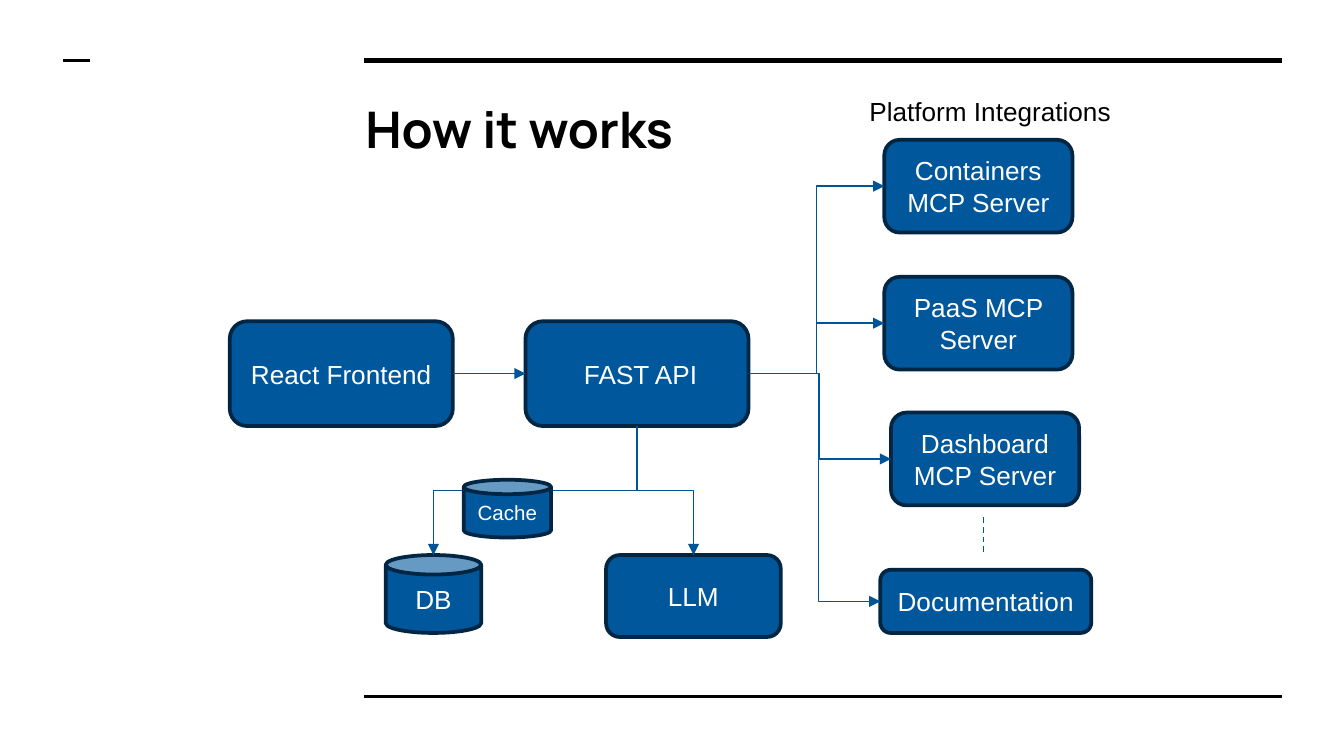
"""Build the "How it works" architecture slide."""
from lxml.etree import SubElement
from pptx import Presentation
from pptx.dml.color import RGBColor
from pptx.enum.dml import MSO_LINE
from pptx.enum.shapes import MSO_CONNECTOR, MSO_SHAPE
from pptx.enum.text import MSO_ANCHOR, PP_ALIGN
from pptx.oxml.ns import qn
from pptx.util import Inches, Pt

COLORS = {"box": "01579B", "border": "002644", "arrow": "005599", "black": "000000", "white": "FFFFFF"}
BOX, CAN = MSO_SHAPE.ROUNDED_RECTANGLE, MSO_SHAPE.CAN
TOP, LEFT, BOTTOM, RIGHT = range(4)
CAN_TOP = 1

RULES = [
    ((2.71, 0.45), (9.54, 0.45), 3),
    ((2.71, 5.18), (9.54, 5.18), 1.5),
    ((0.47, 0.45), (0.67, 0.45), 1.5),
]
NODES = {
    "frontend": ("React Frontend", BOX, (1.71, 2.39, 1.66, 0.78)),
    "api": (" FAST API", BOX, (3.91, 2.39, 1.66, 0.78)),
    "containers": ("Containers MCP Server", BOX, (6.58, 1.04, 1.4, 0.69)),
    "paas": ("PaaS MCP Server", BOX, (6.58, 2.06, 1.4, 0.69)),
    "dashboard": ("Dashboard MCP Server", BOX, (6.63, 3.07, 1.4, 0.69)),
    "documentation": ("Documentation", BOX, (6.55, 4.24, 1.57, 0.47)),
    "db": ("DB", CAN, (2.87, 4.13, 0.71, 0.58)),
    "llm": ("LLM", BOX, (4.51, 4.13, 1.3, 0.61)),
}
CACHE = ("Cache", CAN, (3.45, 3.57, 0.65, 0.43), 11)
SIDE_LINKS = [
    ("frontend", "api", 0.5),
    ("api", "containers", 0.5),
    ("api", "paas", 0.5),
    ("api", "dashboard", 0.5),
    ("api", "documentation", 0.53),
]
DOWN_LINKS = [("api", "db", CAN_TOP), ("api", "llm", TOP)]


def color(name):
    return RGBColor.from_string(COLORS[name])


def add_run(paragraph, text, size, color_name, font="Arial", bold=False):
    run = paragraph.add_run()
    run.text = text
    run.font.name, run.font.size, run.font.bold = font, Pt(size), bold
    run.font.color.rgb = color(color_name)


def add_node(slide, text, preset, place, size=14):
    shape = slide.shapes.add_shape(preset, *map(Inches, place))
    shape.shadow.inherit = False
    shape.fill.solid()
    shape.fill.fore_color.rgb = color("box")
    shape.line.color.rgb = color("border")
    shape.line.width = Pt(2)
    frame = shape.text_frame
    frame.word_wrap = " " in text
    frame.vertical_anchor = MSO_ANCHOR.MIDDLE
    paragraph = frame.paragraphs[0]
    paragraph.alignment = PP_ALIGN.CENTER
    add_run(paragraph, text, size, "white")
    return shape


def add_label(slide, text, place, size, font, bold, wrap, margin):
    frame = slide.shapes.add_textbox(*map(Inches, place)).text_frame
    frame.word_wrap = wrap
    frame.margin_top = frame.margin_bottom = Inches(margin)
    add_run(frame.paragraphs[0], text, size, "black", font, bold)


def add_line(slide, kind, start, end, color_name, width):
    line = slide.shapes.add_connector(kind, *map(Inches, start + end))
    line.line.color.rgb = color(color_name)
    line.line.width = Pt(width)
    SubElement(line._element.spPr, qn("a:effectLst"))
    return line


def add_arrow(slide, source, source_site, target, target_site, bend=0.5):
    arrow = add_line(slide, MSO_CONNECTOR.ELBOW, (0, 0), (1, 1), "arrow", 0.75)
    arrow.begin_connect(source, source_site)
    arrow.end_connect(target, target_site)
    SubElement(arrow.line._get_or_add_ln(), qn("a:tailEnd"), type="triangle")
    geometry = arrow._element.spPr.find(qn("a:prstGeom"))
    guides = geometry.find(qn("a:avLst"))
    if guides is None:
        guides = SubElement(geometry, qn("a:avLst"))
    SubElement(guides, qn("a:gd"), name="adj1", fmla=f"val {round(bend * 100000)}")
    return arrow


def turn_down(arrow, source, target):
    start_x, end_x = (shape.left + shape.width // 2 for shape in (source, target))
    start_y, end_y = source.top + source.height, target.top
    length, spread = end_y - start_y, abs(end_x - start_x)
    arrow.width, arrow.height = length, spread
    arrow.left = (start_x + end_x - length) // 2
    arrow.top = (start_y + end_y - spread) // 2
    transform = arrow._element.spPr.find(qn("a:xfrm"))
    rightward = end_x > start_x
    transform.set("rot", "16200000" if rightward else "5400000")
    transform.set("flipH", "1" if rightward else "0")
    transform.set("flipV", "0")


def main():
    presentation = Presentation()
    presentation.slide_width = Inches(10)
    presentation.slide_height = Inches(10 * 9 / 16)
    slide = presentation.slides.add_slide(presentation.slide_layouts[6])

    for start, end, width in RULES:
        add_line(slide, MSO_CONNECTOR.STRAIGHT, start, end, "black", width)
    add_label(slide, "How it works", (2.62, 0.63, 6.91, 0.69), 27, "Manrope", True, True, 0.1)
    add_label(slide, "Platform Integrations", (6.37, 0.66, 2.01, 0.34), 14, "Arial", False, False, 0.05)

    nodes = {name: add_node(slide, *node) for name, node in NODES.items()}
    for source, target, bend in SIDE_LINKS:
        add_arrow(slide, nodes[source], RIGHT, nodes[target], LEFT, bend)
    for source, target, site in DOWN_LINKS:
        arrow = add_arrow(slide, nodes[source], BOTTOM, nodes[target], site)
        turn_down(arrow, nodes[source], nodes[target])
    add_node(slide, *CACHE)

    more = add_line(slide, MSO_CONNECTOR.STRAIGHT, (7.32, 3.85), (7.32, 4.13), "arrow", 0.75)
    more.line.dash_style = MSO_LINE.DASH
    presentation.save("out.pptx")


if __name__ == "__main__":
    main()
